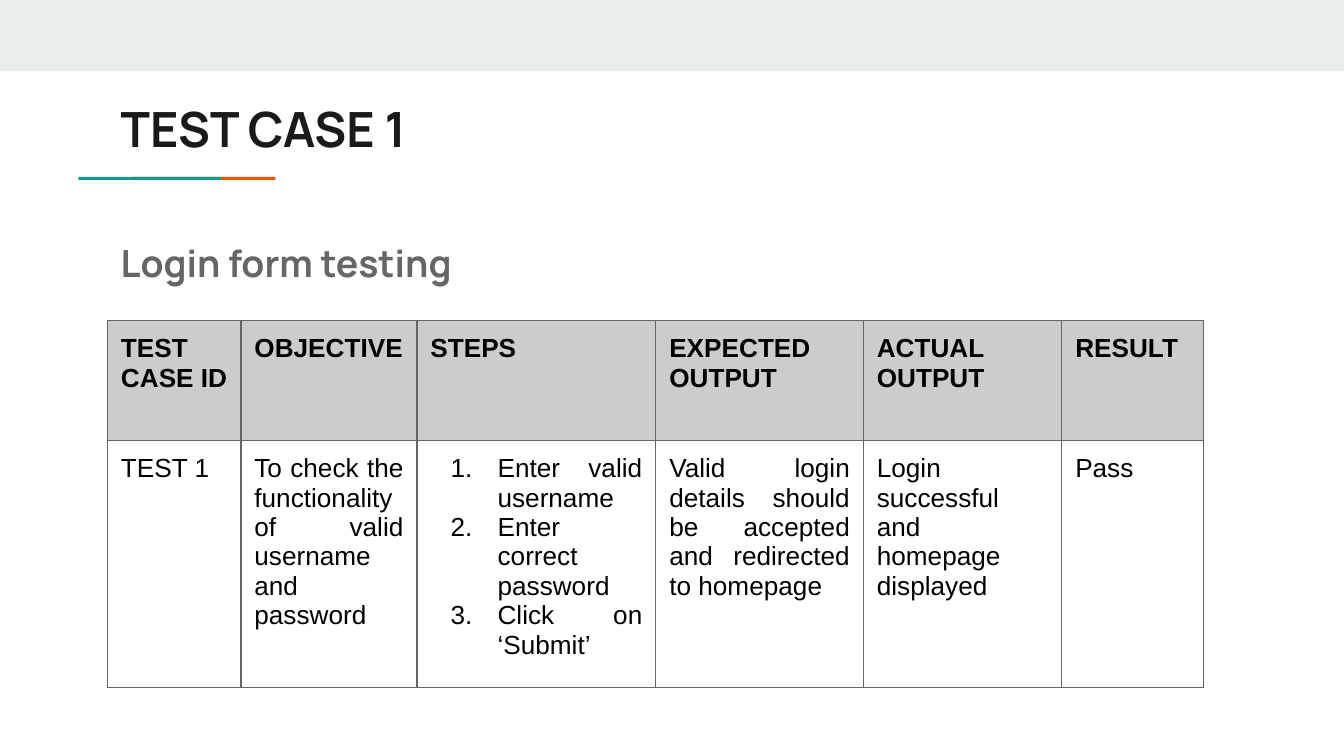
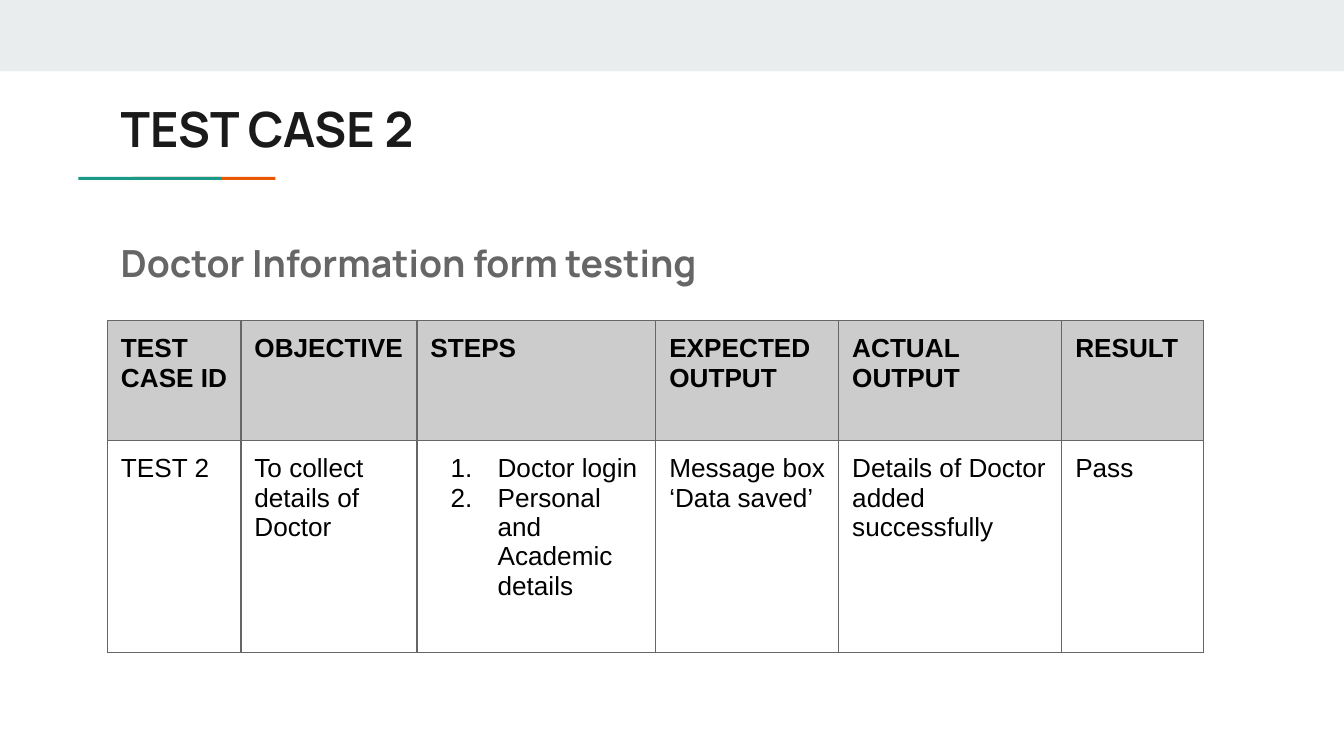
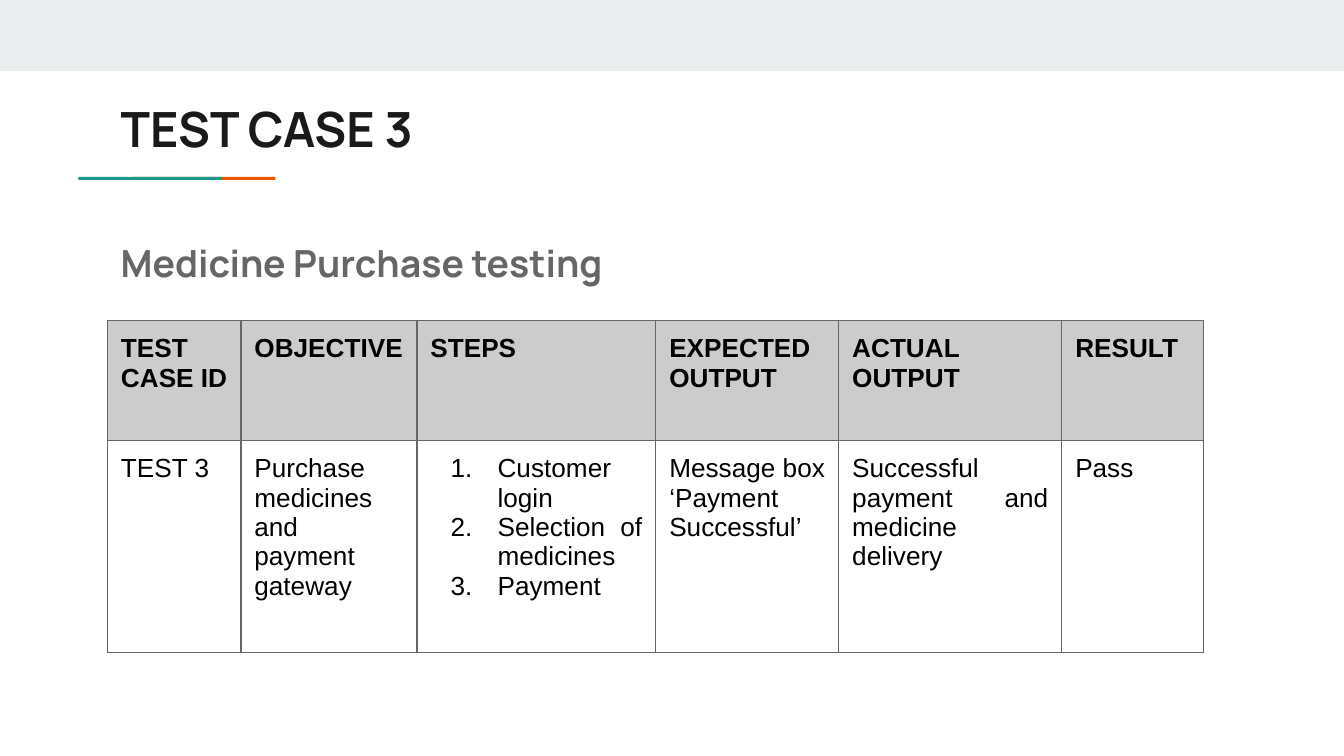
from dataclasses import dataclass

from lxml.etree import SubElement
from pptx import Presentation
from pptx.dml.color import RGBColor
from pptx.enum.shapes import MSO_SHAPE
from pptx.enum.text import MSO_ANCHOR, PP_ALIGN
from pptx.oxml.ns import qn
from pptx.slide import Slide
from pptx.table import _Cell
from pptx.text.text import TextFrame
from pptx.util import Pt

BAND, ORANGE, TEAL = "E9EDEE", "EB5600", "1A9988"
INK, GREY, BLACK, HEADER_FILL = "1A1A1A", "666666", "000000", "CCCCCC"
HEADING_FONT, TABLE_FONT = "Manrope", "Arial"
SLIDE_WIDTH, SLIDE_HEIGHT = 720, 405
CONTENT_LEFT = 57.6
INSET = 7.2
ROW_HEIGHTS = (64.3, 113.3)
HEADERS = ("TEST CASE ID", "OBJECTIVE", "STEPS", "EXPECTED OUTPUT", "ACTUAL OUTPUT", "RESULT")
STEPS_COLUMN = HEADERS.index("STEPS")


@dataclass(frozen=True)
class Bar:
    left: float
    top: float
    width: float
    height: float
    color: str


@dataclass(frozen=True)
class TextStyle:
    font: str
    size: float
    color: str
    bold: bool


@dataclass(frozen=True)
class Heading:
    top: float
    width: float
    height: float
    style: TextStyle


@dataclass(frozen=True)
class TestCase:
    number: int
    subject: str
    objective: str
    steps: tuple[str, ...]
    expected: tuple[str, ...]
    actual: str
    output_widths: tuple[float, float]
    align: PP_ALIGN = PP_ALIGN.JUSTIFY


BARS = (
    Bar(0, 0, SLIDE_WIDTH, 38.2, BAND),
    Bar(71, 94.8, 76.5, 1.6, ORANGE),
    Bar(42, 94.8, 76.5, 1.6, TEAL),
)
TITLE = Heading(46.1, 605.5, 42.5, TextStyle(HEADING_FONT, 26, INK, True))
SUBJECT = Heading(121.7, 324, 38.9, TextStyle(HEADING_FONT, 20, GREY, True))
HEADER_STYLE = TextStyle(TABLE_FONT, 14, BLACK, True)
BODY_STYLE = TextStyle(TABLE_FONT, 14, BLACK, False)

TEST_CASES = (
    TestCase(
        1,
        "Login form testing",
        "To check the functionality of valid username and password",
        ("Enter valid username", "Enter correct password", "Click on ‘Submit’"),
        ("Valid login details should be accepted and redirected to homepage",),
        "Login successful and homepage displayed",
        (111.2, 106.3),
    ),
    TestCase(
        2,
        "Doctor Information form testing",
        "To collect details of Doctor",
        ("Doctor login", "Personal and Academic details"),
        ("Message box", "‘Data saved’"),
        "Details of Doctor added successfully",
        (98, 119.5),
        PP_ALIGN.LEFT,
    ),
    TestCase(
        3,
        "Medicine Purchase testing",
        "Purchase medicines and payment gateway",
        ("Customer login", "Selection of medicines", "Payment"),
        ("Message box", "‘Payment Successful’"),
        "Successful payment and medicine delivery",
        (98, 119.5),
    ),
)


def rgb(color: str) -> RGBColor:
    return RGBColor.from_string(color)


def draw_bar(slide: Slide, bar: Bar) -> None:
    strip = slide.shapes.add_shape(
        MSO_SHAPE.RECTANGLE, Pt(bar.left), Pt(bar.top), Pt(bar.width), Pt(bar.height)
    )
    strip.shadow.inherit = False
    strip.fill.solid()
    strip.fill.fore_color.rgb = rgb(bar.color)
    strip.line.fill.background()


def write_lines(
    frame: TextFrame,
    lines: tuple[str, ...],
    style: TextStyle,
    align: PP_ALIGN,
    numbered: bool = False,
) -> None:
    for index, line in enumerate(lines):
        paragraph = frame.add_paragraph() if index else frame.paragraphs[0]
        paragraph.alignment = align
        if numbered:
            properties = paragraph._p.get_or_add_pPr()
            properties.set("marL", str(Pt(36)))
            properties.set("indent", str(Pt(-25.2)))
            number_color = SubElement(properties, qn("a:buClr"))
            SubElement(number_color, qn("a:srgbClr"), val=style.color)
            SubElement(properties, qn("a:buFont"), typeface=style.font)
            SubElement(properties, qn("a:buAutoNum"), type="arabicPeriod")
        run = paragraph.add_run()
        run.text = line
        run.font.name = style.font
        run.font.size = Pt(style.size)
        run.font.bold = style.bold
        run.font.color.rgb = rgb(style.color)


def draw_heading(slide: Slide, heading: Heading, wording: str, align: PP_ALIGN) -> None:
    frame = slide.shapes.add_textbox(
        Pt(CONTENT_LEFT), Pt(heading.top), Pt(heading.width), Pt(heading.height)
    ).text_frame
    frame.word_wrap = True
    frame.vertical_anchor = MSO_ANCHOR.TOP
    frame.margin_left = frame.margin_right = Pt(INSET)
    frame.margin_top = frame.margin_bottom = Pt(INSET)
    write_lines(frame, (wording,), heading.style, align)


def outline_cell(cell: _Cell) -> None:
    properties = cell._tc.get_or_add_tcPr()
    for side in ("a:lnL", "a:lnR", "a:lnT", "a:lnB"):
        border = SubElement(properties, qn(side), w=str(Pt(0.75)))
        border_fill = SubElement(border, qn("a:solidFill"))
        SubElement(border_fill, qn("a:srgbClr"), val=GREY)


def draw_results(slide: Slide, case: TestCase) -> None:
    widths = (71.5, 94.3, 128, *case.output_widths, 76.1)
    rows = (
        tuple((header,) for header in HEADERS),
        (
            (f"TEST {case.number}",),
            (case.objective,),
            case.steps,
            case.expected,
            (case.actual,),
            ("Pass",),
        ),
    )
    results = slide.shapes.add_table(
        len(rows), len(HEADERS), Pt(CONTENT_LEFT), Pt(171.8), Pt(sum(widths)), Pt(sum(ROW_HEIGHTS))
    ).table
    results.first_row = False
    results.horz_banding = False
    for column, width in zip(results.columns, widths):
        column.width = Pt(width)
    for row_index, entries in enumerate(rows):
        results.rows[row_index].height = Pt(ROW_HEIGHTS[row_index])
        is_header = row_index == 0
        for column_index, lines in enumerate(entries):
            cell = results.cell(row_index, column_index)
            cell.margin_left = cell.margin_right = Pt(INSET)
            cell.margin_top = cell.margin_bottom = Pt(INSET)
            outline_cell(cell)
            if is_header:
                cell.fill.solid()
                cell.fill.fore_color.rgb = rgb(HEADER_FILL)
            else:
                cell.fill.background()
            write_lines(
                cell.text_frame,
                lines,
                HEADER_STYLE if is_header else BODY_STYLE,
                case.align,
                numbered=not is_header and column_index == STEPS_COLUMN,
            )


def main() -> None:
    deck = Presentation()
    deck.slide_width, deck.slide_height = Pt(SLIDE_WIDTH), Pt(SLIDE_HEIGHT)
    for case in TEST_CASES:
        slide = deck.slides.add_slide(deck.slide_layouts[6])
        for bar in BARS:
            draw_bar(slide, bar)
        draw_heading(slide, TITLE, f"TEST CASE {case.number}", case.align)
        draw_results(slide, case)
        draw_heading(slide, SUBJECT, case.subject, case.align)
    deck.save("out.pptx")


if __name__ == "__main__":
    main()
